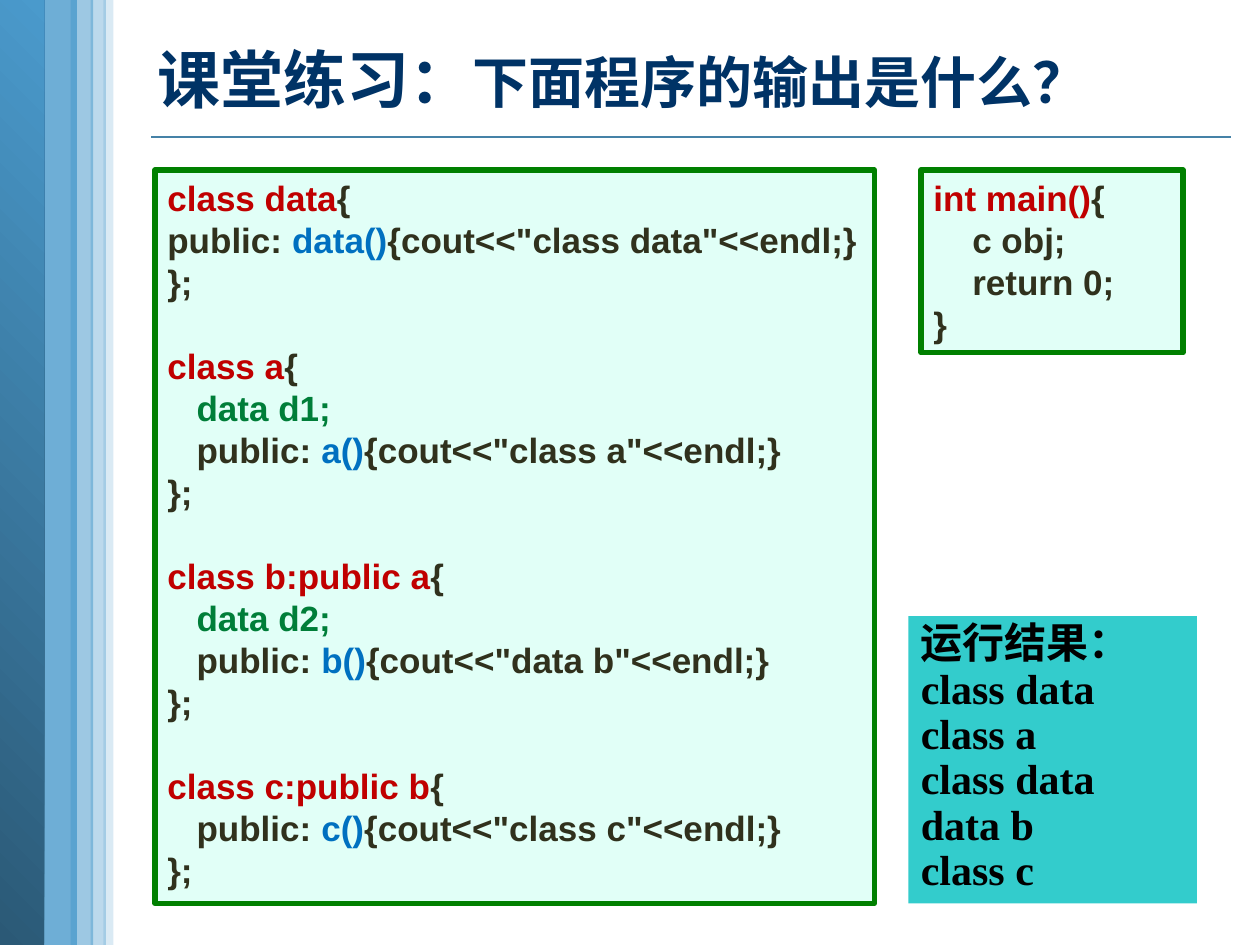
from dataclasses import dataclass

from lxml.etree import SubElement
from pptx import Presentation
from pptx.dml.color import RGBColor
from pptx.enum.shapes import MSO_CONNECTOR, MSO_SHAPE
from pptx.enum.text import MSO_ANCHOR, MSO_AUTO_SIZE, PP_ALIGN
from pptx.oxml.ns import qn
from pptx.util import Inches, Pt

COLORS = {
    "sky": "4A9ACC", "steel": "2B5976", "rule": "4582A7", "navy": "003366",
    "mint": "E1FFF7", "border": "008000", "teal": "33CCCC", "black": "000000",
    "code": "30311D", "class": "C00000", "call": "0070C0", "member": "007E39",
}


@dataclass
class Frame:
    left: float
    top: float
    width: float
    height: float

    def lengths(self) -> list:
        return [Inches(n) for n in (self.left, self.top, self.width, self.height)]


@dataclass
class Span:
    text: str
    color: str = "code"
    size: int = 20
    font: str = "Arial"


@dataclass
class Line:
    spans: list
    format: dict


@dataclass
class Band:
    frame: Frame
    opacity: int


BANDS = [
    Band(Frame(0.3, 0, 0.31, 7.5), 80),
    Band(Frame(0.82, 0, 0.08, 7.5), 20),
    Band(Frame(0.56, 0, 0.18, 7.5), 54),
    Band(Frame(0.72, 0, 0.12, 7.5), 37),
]


def rgb(name: str) -> RGBColor:
    return RGBColor.from_string(COLORS[name])


def add_rectangle(page, frame: Frame, fill: str):
    box = page.shapes.add_shape(MSO_SHAPE.RECTANGLE, *frame.lengths())
    box.shadow.inherit = False
    box.fill.solid()
    box.fill.fore_color.rgb = rgb(fill)
    box.line.fill.background()
    return box


def add_band(page, band: Band) -> None:
    box = add_rectangle(page, band.frame, "sky")
    color = box.fill._xPr.find(qn("a:solidFill"))[0]
    SubElement(color, qn("a:alpha"), val=str(band.opacity * 1000))


def add_gradient_edge(page) -> None:
    box = add_rectangle(page, Frame(0, 0, 0.35, 7.5), "sky")
    box.fill.gradient()
    box.fill.gradient_angle = 45
    for stop, position, name in zip(box.fill.gradient_stops, (0, 1), ("steel", "sky")):
        stop.position = position
        stop.color.rgb = rgb(name)


def add_rule(page) -> None:
    ends = [Inches(n) for n in (1.2, 1.09, 9.77, 1.09)]
    rule = page.shapes.add_connector(MSO_CONNECTOR.STRAIGHT, *ends)
    rule.line.color.rgb = rgb("rule")
    rule.line.width = Pt(1)
    SubElement(rule._element.spPr, qn("a:effectLst"))


def write_lines(box, lines: list, anchor=MSO_ANCHOR.TOP, fit=MSO_AUTO_SIZE.NONE) -> None:
    frame = box.text_frame
    for name, value in {"word_wrap": True, "auto_size": fit, "vertical_anchor": anchor}.items():
        setattr(frame, name, value)
    for index, line in enumerate(lines):
        para = frame.add_paragraph() if index else frame.paragraphs[0]
        for name, value in {"alignment": PP_ALIGN.LEFT, **line.format}.items():
            setattr(para, name, value)
        for span in line.spans:
            run = para.add_run()
            run.text = span.text
            run.font.color.rgb = rgb(span.color)
            for name, value in {"size": Pt(span.size), "name": span.font, "bold": True}.items():
                setattr(run.font, name, value)


def add_title(page) -> None:
    box = page.shapes.add_textbox(*Frame(1.15, 0.07, 8.7, 1.11).lengths())
    spans = [Span("课堂练习：", "navy", 36), Span("下面程序的输出是什么？", "navy", 32)]
    write_lines(box, [Line(spans, {})], MSO_ANCHOR.MIDDLE)


def add_code(page, frame: Frame, lines: list) -> None:
    box = add_rectangle(page, frame, "mint")
    box.line.color.rgb = rgb("border")
    box.line.width = Pt(3)
    write_lines(box, lines, fit=MSO_AUTO_SIZE.SHAPE_TO_FIT_TEXT)


def class_lines(heading: str, name: str, message: str, member: str = "",
                indent: str = "   ", gap: int = 24) -> list:
    """Return the lines of one class, with its optional data member."""
    rows = [[Span(f"class {heading}", "class"), Span("{")]]
    if member:
        rows.append([Span(f"{indent}data {member};", "member")])
    rows.append([Span(f"{indent}public: "), Span(f"{name}()", "call"),
                 Span(f'{{cout<<"{message}"<<endl;}}')])
    rows.append([Span("};")])
    return [Line(row, {} if index or not gap else {"space_before": Pt(gap)})
            for index, row in enumerate(rows)]


def add_result(page) -> None:
    box = add_rectangle(page, Frame(7.21, 4.89, 2.29, 2.28), "teal")
    texts = ["运行结果：", "class data", "class a", "class data", "data b", "class c"]
    lines = [Line([Span(text, "black", 24, "Times New Roman")], {"line_spacing": 0.9})
             for text in texts]
    write_lines(box, lines, fit=MSO_AUTO_SIZE.SHAPE_TO_FIT_TEXT)
    for para in box.text_frame.paragraphs:
        properties = para._p.get_or_add_pPr()
        properties.set("marL", str(Inches(0.38)))
        properties.set("indent", str(-Inches(0.38)))


def main() -> None:
    deck = Presentation()
    deck.slide_width, deck.slide_height = Inches(10), Inches(7.5)
    page = deck.slides.add_slide(deck.slide_layouts[6])
    add_rule(page)
    add_band(page, BANDS[0])
    add_gradient_edge(page)
    for band in BANDS[1:]:
        add_band(page, band)
    add_title(page)
    classes = [
        *class_lines("data", "data", "class data", indent="", gap=0),
        *class_lines("a", "a", "class a", "d1"),
        *class_lines("b:public a", "b", "data b", "d2"),
        *class_lines("c:public b", "c", "class c"),
    ]
    add_code(page, Frame(1.23, 1.35, 5.71, 5.82), classes)
    body = [Line([Span(text)], {}) for text in ("    c obj;", "    return 0;", "}")]
    start = Line([Span("int main()", "class"), Span("{")], {})
    add_code(page, Frame(7.31, 1.35, 2.08, 1.45), [start, *body])
    add_result(page)
    deck.save("out.pptx")


if __name__ == "__main__":
    main()
